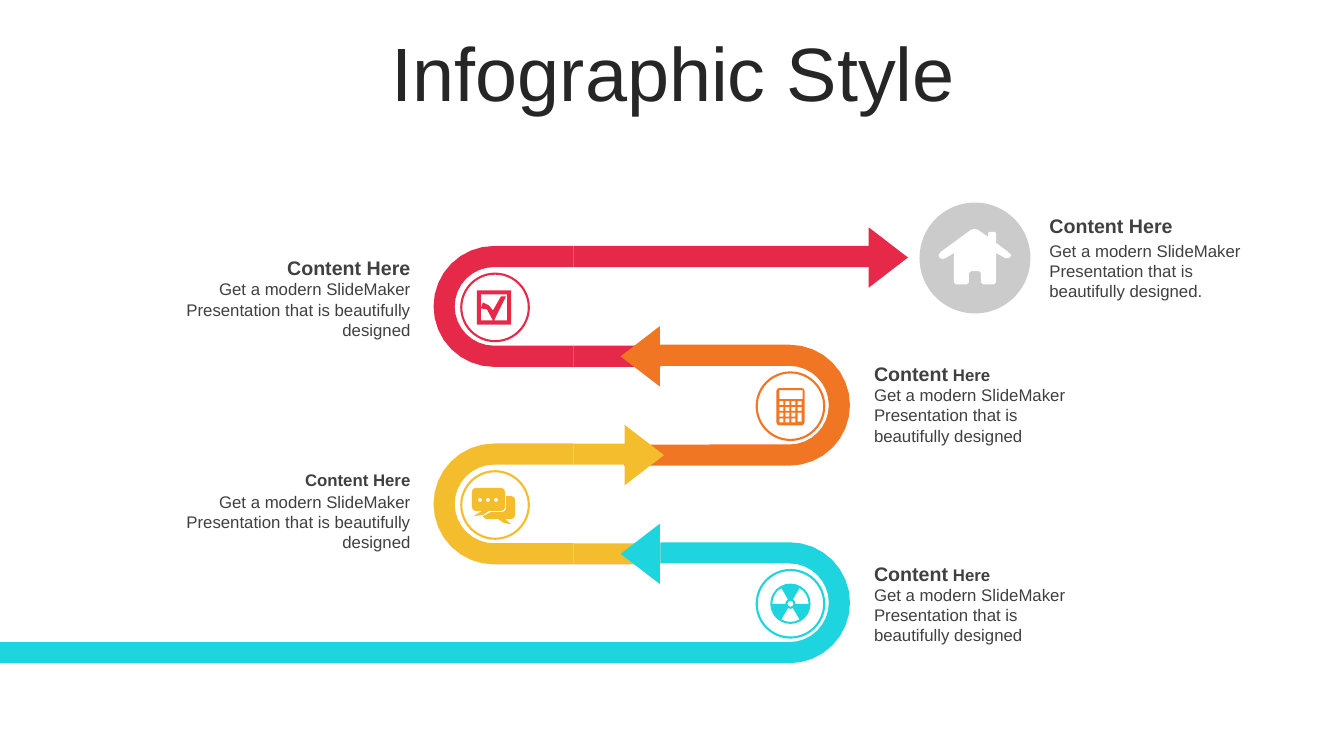
from math import cos, radians, sin
from pptx import Presentation
from pptx.dml.color import RGBColor
from pptx.enum.shapes import MSO_SHAPE
from pptx.enum.text import MSO_ANCHOR, MSO_AUTO_SIZE, PP_ALIGN
from pptx.util import Inches, Pt

RED = RGBColor(0xE6, 0x29, 0x49)
ORANGE = RGBColor(0xF0, 0x76, 0x24)
YELLOW = RGBColor(0xF4, 0xBD, 0x2D)
CYAN = RGBColor(0x1E, 0xD4, 0xDE)
GREY = RGBColor(0xCB, 0xCB, 0xCB)
WHITE = RGBColor(0xFF, 0xFF, 0xFF)
TITLE_INK = RGBColor(0x26, 0x26, 0x26)
INK = RGBColor(0x40, 0x40, 0x40)

FONT = "Arial"
TOP, PITCH = 2.44, 0.98
OUTER, BAND = 0.6, 0.21
LEG = 0.79
RING = 0.67
HEAD_W, HEAD_H = 0.6, 0.39


def arc(cx, cy, radius, start, end, steps=2):
    angles = [radians(start + (end - start) * i / steps) for i in range(steps + 1)]
    return [(cx + radius * cos(a), cy + radius * sin(a)) for a in angles]


def draw(contours, color):
    builder = None
    for contour in contours:
        points = [(Inches(x), Inches(y)) for x, y in contour]
        if builder is None:
            builder = s.shapes.build_freeform(*points[0], scale=1.0)
        else:
            builder.move_to(*points[0])
        builder.add_line_segments(points[1:], close=True)
    sp = builder.convert_to_shape()
    sp.shadow.inherit = False
    sp.fill.solid()
    sp.fill.fore_color.rgb = color
    sp.line.fill.background()


prs = Presentation()
prs.slide_width, prs.slide_height = Inches(13.33), Inches(7.5)
s = prs.slides.add_slide(prs.slide_layouts[5])

title = s.shapes.title
title.left, title.top, title.width, title.height = map(Inches, (0.35, 0.37, 12.66, 0.79))
tf = title.text_frame
tf.auto_size = MSO_AUTO_SIZE.NONE
tf.vertical_anchor = MSO_ANCHOR.MIDDLE
p = tf.paragraphs[0]
p.alignment = PP_ALIGN.CENTER
p.line_spacing = 0.9
r = p.add_run()
r.text = "Infographic Style"
r.font.name, r.font.size, r.font.color.rgb = FONT, Pt(54), TITLE_INK

bends = [
    (RED, 4.9, 1, 8.69, 6.55, 8.81),
    (ORANGE, 7.83, -1, 6.54, 6.19, 6.35),
    (YELLOW, 4.9, 1, 6.3, 6.55, 6.39),
    (CYAN, 7.83, -1, 6.55, 0, 6.35),
]
for row, (color, cx, side, top_end, bottom_end, head_x) in enumerate(bends):
    top = TOP + row * PITCH
    cy = top + OUTER
    leg_x = cx + side * LEG
    outer = arc(cx, cy, OUTER, 270, 270 - side * 180, 16)
    inner = arc(cx, cy, OUTER - BAND, 270 - side * 180, 270, 16)
    draw([[(leg_x, top), *outer, (leg_x, outer[-1][1]),
           (leg_x, inner[0][1]), *inner, (leg_x, inner[-1][1])]], color)

    parts = [
        (MSO_SHAPE.RECTANGLE, min(leg_x, top_end), top, abs(top_end - leg_x), BAND, 0),
        (MSO_SHAPE.RECTANGLE, min(leg_x, bottom_end), top + 2 * OUTER - BAND,
         abs(bottom_end - leg_x), BAND, 0),
        (MSO_SHAPE.ISOSCELES_TRIANGLE, head_x - HEAD_W / 2,
         top + (BAND - HEAD_H) / 2 + 0.01, HEAD_W, HEAD_H, side * 90),
        (MSO_SHAPE.OVAL, cx + 0.01 - RING / 2, cy + 0.01 - RING / 2, RING, RING, 0),
    ]
    for kind, x, y, w, h, turn in parts:
        sp = s.shapes.add_shape(kind, *map(Inches, (x, y, w, h)))
        sp.shadow.inherit = False
        sp.rotation = turn
        if kind == MSO_SHAPE.OVAL:
            sp.fill.background()
            sp.line.color.rgb = color
            sp.line.width = Pt(1.5)
        else:
            sp.fill.solid()
            sp.fill.fore_color.rgb = color
            sp.line.fill.background()

box = [(4.73, 2.88), (5.07, 2.88), (5.07, 3.22), (4.73, 3.22)]
opening = [(4.77, 2.92), (5.03, 2.92), (5.03, 3.18), (4.77, 3.18)]
tick = [(4.89, 3.18), (4.83, 3.07), (4.77, 3.06), (4.79, 3), (4.85, 3.03),
        (4.89, 3.08), (4.97, 2.94), (5.02, 2.94), (4.9, 3.18)]
draw([box, opening, tick], RED)

case = (arc(7.73, 3.88, 0.03, 180, 270) + arc(7.95, 3.88, 0.03, 270, 360)
        + arc(7.95, 4.19, 0.03, 0, 90) + arc(7.73, 4.19, 0.03, 90, 180))
cells = [(7.73, 3.87, 0.23, 0.09)]
for col in range(4):
    for line in range(4):
        if (col, line) != (3, 3):
            tall = 0.09 if (col, line) == (3, 2) else 0.04
            cells.append((7.73 + col * 0.06, 3.98 + line * 0.057, 0.04, tall))
draw([case] + [[(x, y), (x + w, y), (x + w, y + h), (x, y + h)] for x, y, w, h in cells], ORANGE)

front = (arc(4.72, 4.88, 0.04, 180, 270) + arc(4.97, 4.88, 0.04, 270, 360)
         + arc(4.97, 5.03, 0.04, 0, 90)
         + [(4.85, 5.07), (4.79, 5.11), (4.7, 5.12), (4.78, 5.07)]
         + arc(4.72, 5.03, 0.04, 90, 180))
back = ([(5.02, 4.92)] + arc(5.07, 4.96, 0.04, 270, 360) + arc(5.07, 5.11, 0.04, 0, 90)
        + [(5.01, 5.15), (5.07, 5.2), (5, 5.19), (4.94, 5.15)]
        + arc(4.83, 5.11, 0.04, 90, 165) + [(4.87, 5.08)] + arc(4.98, 5.04, 0.04, 90, 0))
dots = [arc(4.76 + i * 0.08, 4.96, 0.02, 0, 360, 8) for i in range(3)]
draw([front, back] + dots, YELLOW)

hub = (7.84, 5.99)
blades = [arc(*hub, 0.18, a, a + 60, 4) + arc(*hub, 0.05, a + 60, a) for a in (60, 180, 300)]
draw([arc(*hub, 0.2, 0, 360, 24), arc(*hub, 0.03, 0, 360, 8)] + blades, CYAN)

disc = s.shapes.add_shape(MSO_SHAPE.OVAL, *map(Inches, (9.12, 2.01, 1.1, 1.1)))
disc.shadow.inherit = False
disc.fill.solid()
disc.fill.fore_color.rgb = GREY
disc.line.fill.background()
house = [(9.88, 2.51), (9.88, 2.8), (9.86, 2.82), (9.75, 2.82), (9.73, 2.8), (9.73, 2.71),
         (9.71, 2.69), (9.63, 2.69), (9.61, 2.71), (9.61, 2.8), (9.59, 2.82), (9.48, 2.82),
         (9.46, 2.8), (9.46, 2.51), (9.38, 2.56), (9.35, 2.57), (9.32, 2.56),
         (9.31, 2.53), (9.33, 2.5), (9.63, 2.28), (9.67, 2.27),
         (9.7, 2.28), (9.8, 2.35), (9.8, 2.31), (9.82, 2.3), (9.86, 2.3),
         (9.88, 2.31), (9.88, 2.41), (10, 2.5), (10.03, 2.53), (10.01, 2.56), (9.97, 2.56)]
draw([house], WHITE)

LEFT, RIGHT = PP_ALIGN.LEFT, PP_ALIGN.RIGHT
BLURB = "Get a modern SlideMaker Presentation that is beautifully designed"
notes = [
    (1.55, 2.49, 2.62, 0.23, RIGHT, 14, 14, BLURB),
    (8.57, 3.54, 2.28, 0.23, LEFT, 14, 12, BLURB),
    (1.55, 4.61, 2.62, 0.22, RIGHT, 12, 12, BLURB),
    (8.57, 5.52, 2.28, 0.23, LEFT, 14, 12, BLURB),
    (10.31, 2.07, 2.34, 0.27, LEFT, 14, 14, BLURB + "."),
]
for x, y, w, drop, align, size, last_size, blurb in notes:
    heading = [("Content", size, True), (" Here", last_size, True)]
    head_h = 0.34 if size == 14 else 0.3
    for top, h, anchor, runs in (
        (y, head_h, MSO_ANCHOR.MIDDLE, heading),
        (y + drop, 0.71, MSO_ANCHOR.TOP, [(blurb, 12, False)]),
    ):
        tf = s.shapes.add_textbox(*map(Inches, (x, top, w, h))).text_frame
        tf.word_wrap = True
        tf.auto_size = MSO_AUTO_SIZE.SHAPE_TO_FIT_TEXT
        tf.vertical_anchor = anchor
        p = tf.paragraphs[0]
        p.alignment = align
        for text, points, bold in runs:
            r = p.add_run()
            r.text = text
            r.font.name, r.font.size, r.font.bold = FONT, Pt(points), bold
            r.font.color.rgb = INK

prs.save("out.pptx")
